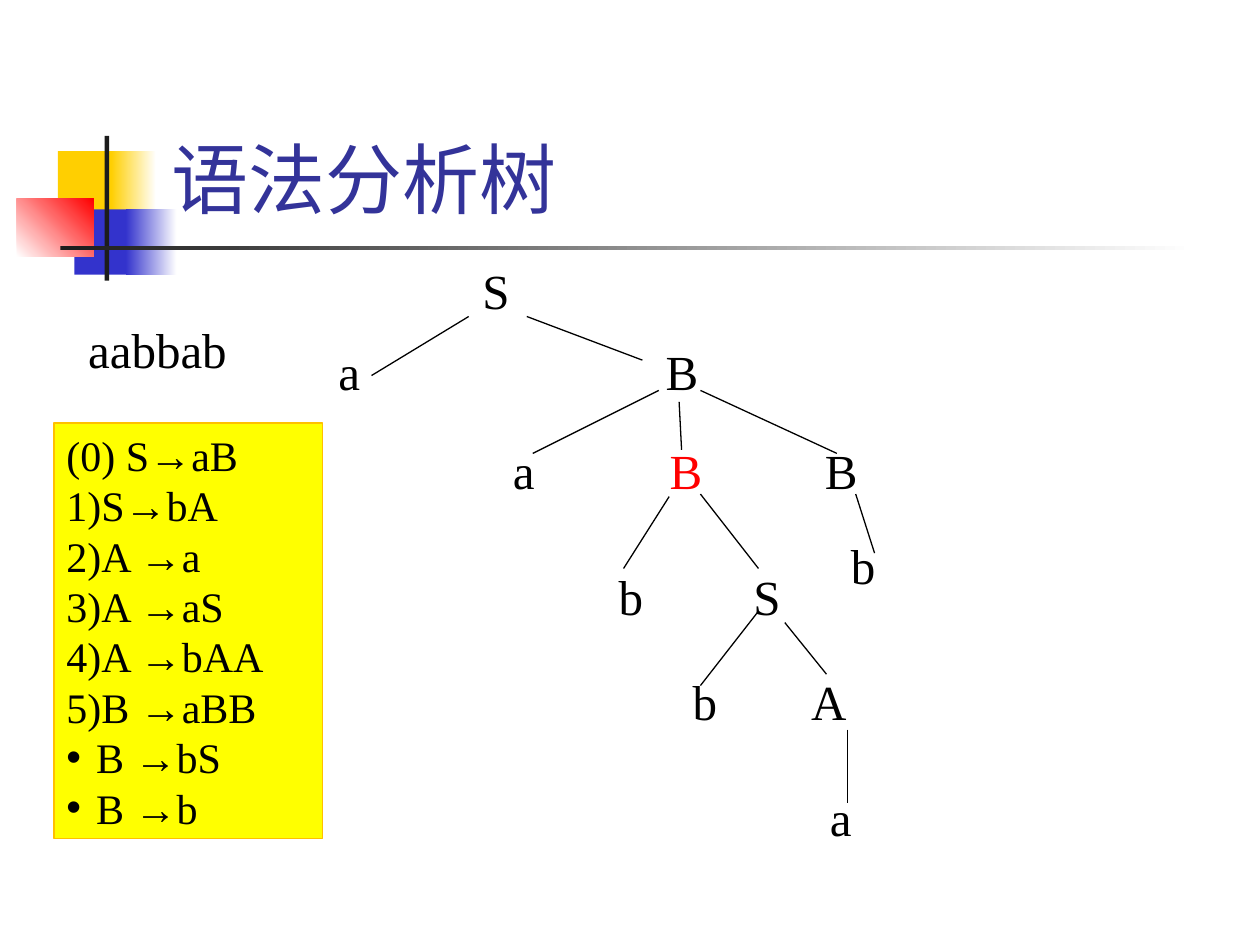
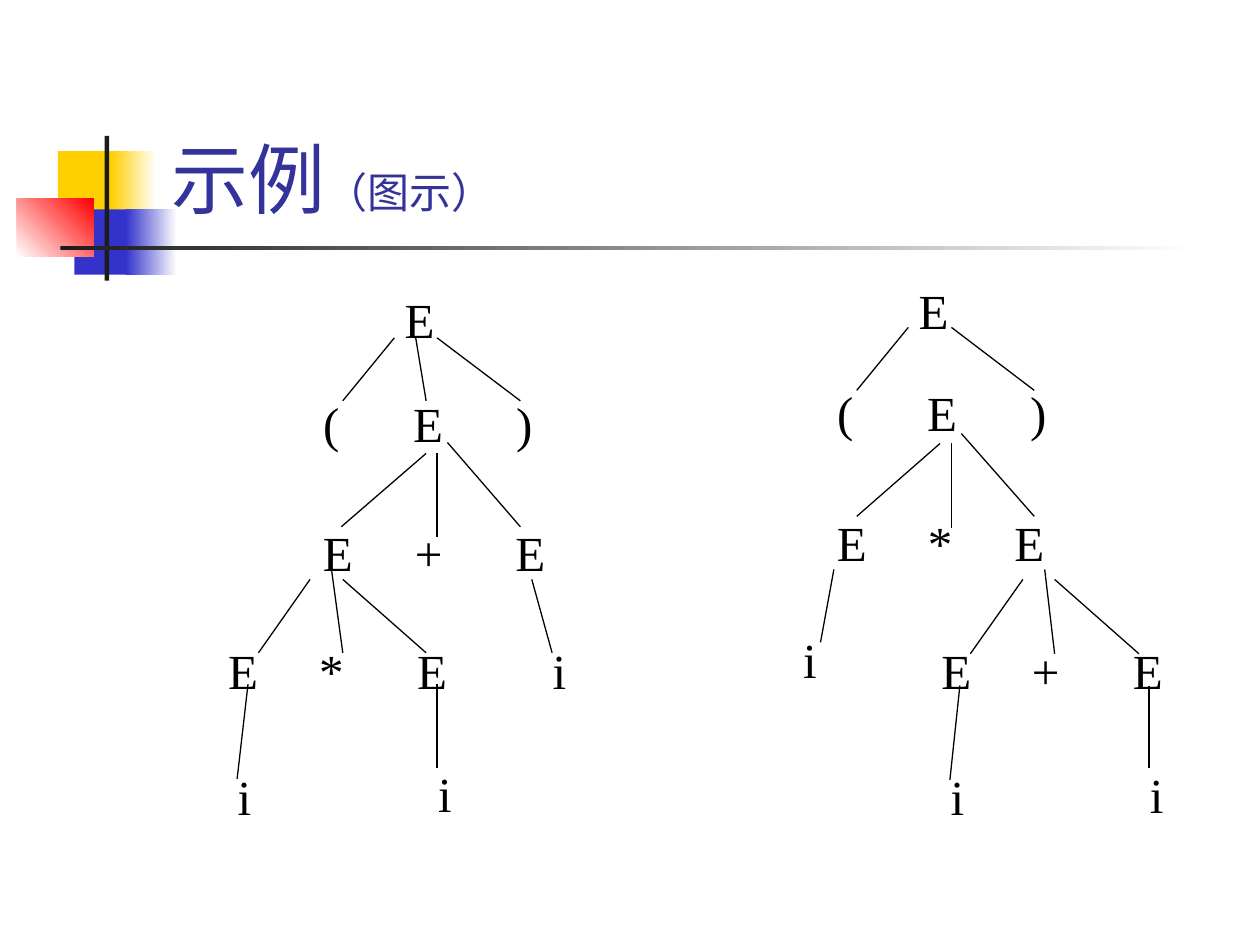
from lxml.etree import SubElement
from pptx import Presentation
from pptx.dml.color import RGBColor
from pptx.enum.shapes import MSO_CONNECTOR, MSO_SHAPE
from pptx.enum.text import MSO_ANCHOR, MSO_AUTO_SIZE, PP_ALIGN
from pptx.oxml.ns import qn
from pptx.util import Cm, Pt

SERIF, SANS, HEAD = "Times New Roman", "Arial", "Lato"
BLACK, WHITE, RED, NAVY = "000000", "FFFFFF", "FF0000", "333399"
GOLD, BLUE, DARK = "FFCF01", "3333CC", "1C1C1C"
YELLOW, AMBER = "FFFF00", "FFC000"

# Left, top, width, height, colours from start to end, angle
DECOR = [
    (1.17, 3.05, 1.22, 1.32, [GOLD], 0),
    (2.24, 3.05, 0.91, 1.32, [GOLD, WHITE], 0),
    (1.5, 4.22, 1.17, 1.32, [BLUE], 0),
    (2.54, 4.22, 1.02, 1.32, [BLUE, WHITE], 0),
    (0.34, 4.01, 1.55, 1.17, [WHITE, RED], 45),
    (2.11, 2.74, 0.09, 2.92, [DARK], 0),
    (1.22, 4.95, 22.86, 0.1, [DARK, WHITE], 0),
]

RULES = [("(0) S", "aB", None), ("S", "bA", "1)"), ("A ", "a", "1)"),
         ("A ", "aS", "1)"), ("A ", "bAA", "1)"), ("B ", "aBB", "1)"),
         ("B ", "bS", "•"), ("B ", "b", "•")]

# Each tree: rows of (top, symbols, centres) and branches (x1, y1, x2, y2)
PARSE = (
    [(5.13, "S", [10]), (6.76, "aB", [7.04, 13.75]),
     (8.76, "aB", [10.56, 16.96]), (10.67, "b", [17.4]),
     (11.3, "bS", [12.72, 15.46]), (13.41, "bA", [14.21, 16.71]),
     (15.75, "a", [16.95])],
    [(9.45, 6.38, 7.49, 7.57), (10.62, 6.38, 12.95, 7.26),
     (13.28, 7.87, 10.74, 9.14), (13.69, 8.1, 13.74, 9.07),
     (14.12, 7.87, 16.87, 9.14), (13.49, 10.01, 12.57, 11.46),
     (14.12, 9.96, 15.29, 11.46), (15.29, 12.32, 14.12, 13.82),
     (15.82, 12.55, 16.66, 13.59), (17.09, 14.71, 17.09, 16.18),
     (17.25, 9.96, 17.63, 11.15)],
)
SUM = (
    [(5.72, "E", [8.46]), (7.8, "(E)", [6.68, 8.63, 10.57]),
     (10.41, "E+E", [6.81, 8.64, 10.69]),
     (12.78, "E*Ei", [4.9, 6.68, 8.71, 11.28]),
     (15.27, "i", [8.97]), (15.32, "i", [4.93])],
    [(7.95, 6.81, 6.91, 8.08), (8.38, 6.81, 8.59, 8.08),
     (8.81, 6.81, 10.49, 8.08), (8.59, 9.14, 6.88, 10.62),
     (8.81, 9.14, 8.81, 10.82), (9.02, 8.92, 10.49, 10.62),
     (6.25, 11.68, 5.21, 13.16), (6.68, 11.46, 6.91, 13.16),
     (6.91, 11.68, 8.59, 13.16), (10.72, 11.68, 11.13, 13.16),
     (5, 13.79, 4.78, 15.7), (8.81, 13.79, 8.81, 15.49)],
)
PRODUCT = (
    [(5.54, "E", [18.82]), (7.59, "(E)", [17.04, 18.99, 20.93]),
     (10.21, "E*E", [17.17, 18.95, 20.75]), (12.57, "i", [16.33]),
     (12.78, "E+E", [19.28, 21.08, 23.14]),
     (15.29, "i", [23.32]), (15.32, "i", [19.3])],
    [(18.31, 6.6, 17.27, 7.87), (19.18, 6.6, 20.85, 7.87),
     (18.95, 8.94, 17.27, 10.41), (19.18, 8.94, 19.18, 10.64),
     (19.38, 8.74, 20.85, 10.41), (20.62, 11.68, 19.56, 13.18),
     (21.06, 11.48, 21.26, 13.18), (21.26, 11.68, 22.96, 13.18),
     (16.81, 11.48, 16.54, 12.95), (19.35, 13.82, 19.15, 15.72),
     (23.16, 13.82, 23.16, 15.49)],
)


def rgb(code):
    return RGBColor.from_string(code)


def style(para, size, color=BLACK, name=SERIF):
    font = para.font
    font.size, font.name = Pt(size), name
    font.color.rgb = rgb(color)


def add_rect(slide, box, colors, angle=0, edge=None):
    shape = slide.shapes.add_shape(MSO_SHAPE.RECTANGLE, *map(Cm, box))
    shape.shadow.inherit = False
    if len(colors) == 1:
        shape.fill.solid()
        shape.fill.fore_color.rgb = rgb(colors[0])
    else:
        shape.fill.gradient()
        shape.fill.gradient_angle = angle
        for stop, color in zip(shape.fill.gradient_stops, colors):
            stop.color.rgb = rgb(color)
    if edge:
        shape.line.color.rgb = rgb(edge)
        shape.line.width = Pt(0.75)
    else:
        shape.line.fill.background()
    return shape


def add_text(slide, text, left, top, width, color=BLACK, align=PP_ALIGN.LEFT):
    frame = slide.shapes.add_textbox(
        Cm(left), Cm(top), Cm(width), Cm(1.44)).text_frame
    frame.word_wrap = True
    frame.margin_left = frame.margin_right = 0
    para = frame.paragraphs[0]
    para.text, para.alignment = text, align
    style(para, 28, color)


def add_symbol(slide, text, center, top, color=BLACK):
    add_text(slide, text, center - 0.6, top, 1.2, color, PP_ALIGN.CENTER)


def add_branch(slide, ends):
    line = slide.shapes.add_connector(MSO_CONNECTOR.STRAIGHT, *map(Cm, ends))
    line.line.color.rgb = rgb(BLACK)
    line.line.width = Pt(0.75)
    SubElement(line._element.spPr, qn("a:effectLst"))


def add_tree(slide, tree):
    rows, branches = tree
    for top, symbols, centers in rows:
        for text, center in zip(symbols, centers):
            add_symbol(slide, text, center, top)
    for ends in branches:
        add_branch(slide, ends)


def add_bullet(para, mark):
    props = para._p.get_or_add_pPr()
    props.set("marL", str(Cm(0.6)))
    props.set("indent", str(-Cm(0.6)))
    if mark == "•":
        SubElement(props, qn("a:buFont"), typeface=SANS)
        SubElement(props, qn("a:buChar"), char=mark)
    else:
        SubElement(props, qn("a:buFont"), typeface=SERIF)
        SubElement(props, qn("a:buAutoNum"), type="arabicParenR")


def add_rules(slide):
    box = add_rect(slide, (1.09, 8.53, 5.41, 8.38), [YELLOW], edge=AMBER)
    frame = box.text_frame
    frame.word_wrap = True
    frame.vertical_anchor = MSO_ANCHOR.TOP
    for i, (head, body, mark) in enumerate(RULES):
        para = frame.add_paragraph() if i else frame.paragraphs[0]
        para.alignment = PP_ALIGN.LEFT
        para.line_spacing = Pt(28.8)
        if mark:
            add_bullet(para, mark)
        style(para, 24)
        for text, name in ((head, SERIF), ("→", SANS), (body, SERIF)):
            run = para.add_run()
            run.text, run.font.name = text, name


def add_slide(deck, title, note=None):
    slide = deck.slides.add_slide(deck.slide_layouts[5])
    holder = slide.shapes.title
    holder.left, holder.top = Cm(3.2), Cm(0.58)
    holder.width, holder.height = Cm(21.64), Cm(4.06)
    frame = holder.text_frame
    frame.auto_size = MSO_AUTO_SIZE.NONE
    frame.vertical_anchor = MSO_ANCHOR.BOTTOM
    para = frame.paragraphs[0]
    para.text, para.alignment = title, PP_ALIGN.LEFT
    style(para, 44, NAVY, HEAD)
    if note:
        run = para.add_run()
        run.text, run.font.size = note, Pt(24)
    return slide


def set_decor(slide):
    """Draw the shared decoration and move it to the layout."""
    layout = slide.slide_layout
    for holder in list(layout.placeholders)[1:]:
        holder._element.getparent().remove(holder._element)
    for *box, colors, angle in DECOR:
        shape = add_rect(slide, box, colors, angle)
        shape.name = f"Decor {shape.shape_id}"
        layout.shapes._spTree.append(shape._element)
        # Keep identifiers unique within the layout
        shape._element.nvSpPr.cNvPr.set("id", str(len(layout.shapes) + 10))


def main():
    deck = Presentation()
    deck.slide_width, deck.slide_height = Cm(25.4), Cm(19.05)

    # Parse tree of one sentence, with its grammar
    slide = add_slide(deck, "语法分析树")
    set_decor(slide)
    add_tree(slide, PARSE)
    add_symbol(slide, "B", 13.83, 8.76, RED)
    add_rules(slide)
    add_text(slide, "aabbab", 1.78, 6.32, 3.7)

    # Two trees of an ambiguous expression
    slide = add_slide(deck, "示例", "（图示）")
    add_tree(slide, SUM)
    add_tree(slide, PRODUCT)

    deck.save("out.pptx")


if __name__ == "__main__":
    main()
